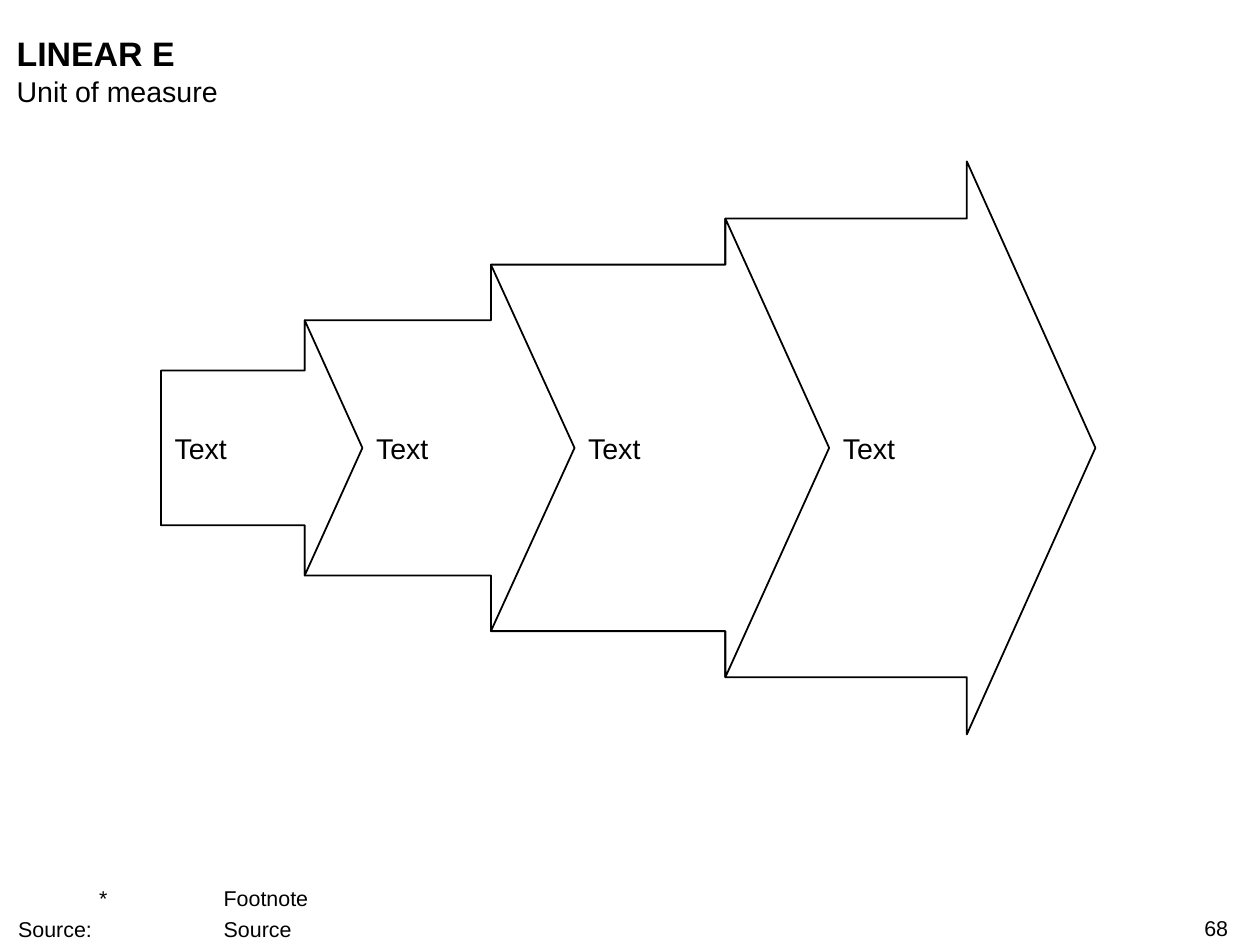
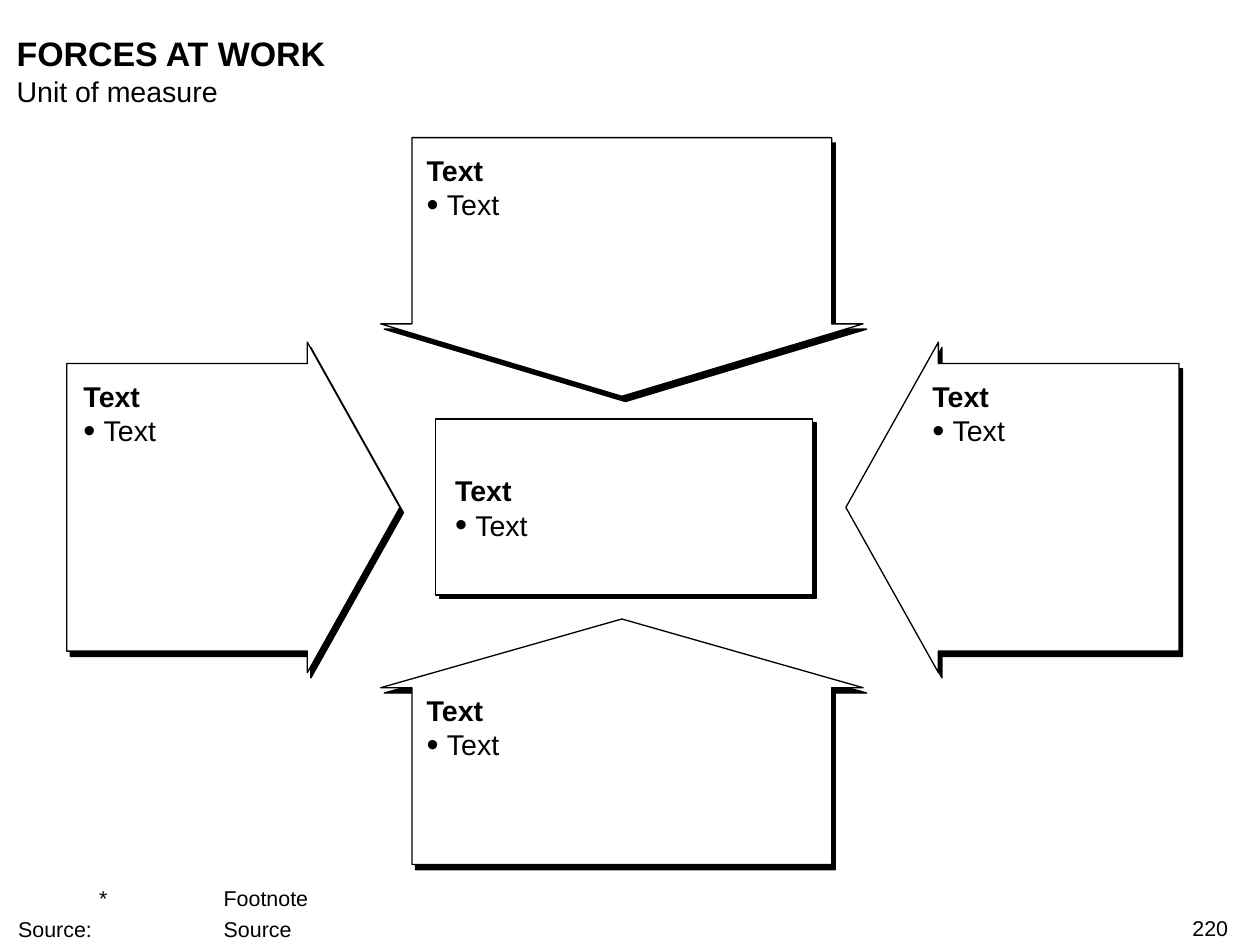
import pptx
import pptx.util
import pptx.dml.color
import pptx.enum.shapes
import pptx.enum.text
import pptx.oxml.ns
import lxml.etree

Cm = pptx.util.Cm
Pt = pptx.util.Pt
Kind = pptx.enum.shapes.MSO_SHAPE
Align = pptx.enum.text.PP_ALIGN
Anchor = pptx.enum.text.MSO_ANCHOR

BLACK = pptx.dml.color.RGBColor(0, 0, 0)
WHITE = pptx.dml.color.RGBColor(255, 255, 255)

BODY = {"name": "Arial", "size": Pt(16), "bold": False}
HEAD = {**BODY, "bold": True}
TITLE = {**HEAD, "size": Pt(19)}
SMALL = {**BODY, "size": Pt(12)}
FRAME = {"word_wrap": True, "margin_left": 0, "margin_right": 0,
         "margin_top": 0, "margin_bottom": 0}

EDGES = [3.18, 6.02, 9.7, 14.33, 19.1]
TIPS = [7.16, 11.35, 16.38, 21.64]
HALVES = [1.53, 2.52, 3.62, 4.53, 5.66]
MIDDLE = 8.85
LABELS = [2.2, 2.85, 3.45, 3.45]

FORCES = [
    (Kind.DOWN_ARROW, (7.52, 2.72, 9.53, 5.11), (8.43, 3.02, 7.7)),
    (Kind.LEFT_ARROW, (16.71, 6.76, 6.58, 6.53), (18.42, 7.49, 4.65)),
    (Kind.UP_ARROW, (7.52, 12.23, 9.53, 4.85), (8.43, 13.69, 7.7)),
    (Kind.RIGHT_ARROW, (1.32, 6.76, 6.58, 6.53), (1.65, 7.49, 4.65)),
    (Kind.RECTANGLE, (8.61, 8.28, 7.44, 3.48), (8.99, 9.35, 6.65)),
]


def assign(target, values):
    for key, value in values.items():
        setattr(target, key, value)


def add_tag(parent, tag, **values):
    child = lxml.etree.SubElement(parent, pptx.oxml.ns.qn(tag))
    for key, value in values.items():
        child.set(key, str(value))
    return child


def add_run(para, text, style):
    run = para.add_run()
    run.text = text
    assign(run.font, style)
    run.font.color.rgb = BLACK


def add_box(slide, place, anchor=Anchor.TOP):
    box = slide.shapes.add_textbox(*map(Cm, place))
    assign(box.text_frame, {**FRAME, "vertical_anchor": anchor})
    return box.text_frame


def add_line(slide, place, text, style, align=Align.LEFT, anchor=Anchor.TOP):
    para = add_box(slide, place, anchor).paragraphs[0]
    para.alignment = align
    add_run(para, text, style)


def add_foot(slide):
    frame = add_box(slide, (0.36, 17.48, 22.68, 1.12), Anchor.BOTTOM)
    first, second = frame.paragraphs[0], frame.add_paragraph()
    for para, text in ((first, "\t*\tFootnote"), (second, "Source:\t\tSource")):
        tabs = add_tag(para._p.get_or_add_pPr(), "a:tabLst")
        for stop in (1.6, 4.06):
            add_tag(tabs, "a:tab", pos=Cm(stop), algn="l")
        add_run(para, text, SMALL)
    second.space_before = Pt(2.8)


def add_page(deck, title, number):
    slide = deck.slides.add_slide(deck.slide_layouts[6])
    add_line(slide, (0.33, 0.64, 23.95, 0.81), title, TITLE)
    add_line(slide, (0.33, 1.47, 23.95, 0.69), "Unit of measure", BODY)
    add_foot(slide)
    add_line(slide, (19.08, 18.08, 5.18, 0.51), number, SMALL, Align.RIGHT)
    return slide


def paint(shape, width):
    shape.shadow.inherit = False
    shape.fill.solid()
    shape.fill.fore_color.rgb = WHITE
    shape.line.color.rgb = BLACK
    shape.line.width = Pt(width)


def add_stage(slide, left, neck, tip, body, head):
    points = [(left, -body), (neck, -body), (neck, -head), (tip, 0),
              (neck, head), (neck, body), (left, body)]
    start, *rest = [(Cm(x), Cm(MIDDLE + y)) for x, y in points]
    pen = slide.shapes.build_freeform(*start)
    pen.add_line_segments(rest, close=True)
    paint(pen.convert_to_shape(), 1)


def add_block(slide, kind, place):
    block = slide.shapes.add_shape(kind, *map(Cm, place))
    paint(block, 0.75)
    arrow = kind != Kind.RECTANGLE
    if arrow:
        block.adjustments[0] = 0.87
        block.adjustments[1] = 0.28
    effects = block._element.spPr.find(pptx.oxml.ns.qn("a:effectLst"))
    shade = add_tag(effects, "a:outerShdw", blurRad=0,
                    dist=Pt(3.6 if arrow else 2.8),
                    dir=(56 if arrow else 45) * 60000,
                    algn="ctr", rotWithShape=0)
    add_tag(shade, "a:srgbClr", val=BLACK)


def add_note(slide, place):
    frame = add_box(slide, (*place, 1.35))
    add_run(frame.paragraphs[0], "Text", HEAD)
    para = frame.add_paragraph()
    props = para._p.get_or_add_pPr()
    props.set("marL", str(Cm(0.4)))
    props.set("indent", str(Cm(-0.4)))
    add_tag(props, "a:buSzPct", val=120000)
    add_tag(props, "a:buFont", typeface="Arial")
    add_tag(props, "a:buChar", char="•")
    add_run(para, "Text", BODY)


def draw_steps(deck):
    slide = add_page(deck, "LINEAR E", "68")
    stages = list(zip(EDGES, EDGES[1:], TIPS, HALVES, HALVES[1:]))
    for stage in reversed(stages):
        add_stage(slide, *stage)
    for left, width in zip([EDGES[0], *TIPS], LABELS):
        add_line(slide, (left + 0.27, MIDDLE - 0.34, width, 0.68), "Text",
                 BODY, anchor=Anchor.MIDDLE)


def draw_forces(deck):
    slide = add_page(deck, "FORCES AT WORK", "220")
    for kind, place, note in FORCES:
        add_block(slide, kind, place)
        add_note(slide, note)


def main():
    deck = pptx.Presentation()
    assign(deck, {"slide_width": Cm(24.89), "slide_height": Cm(18.67)})
    draw_steps(deck)
    draw_forces(deck)
    deck.save("out.pptx")


if __name__ == "__main__":
    main()
